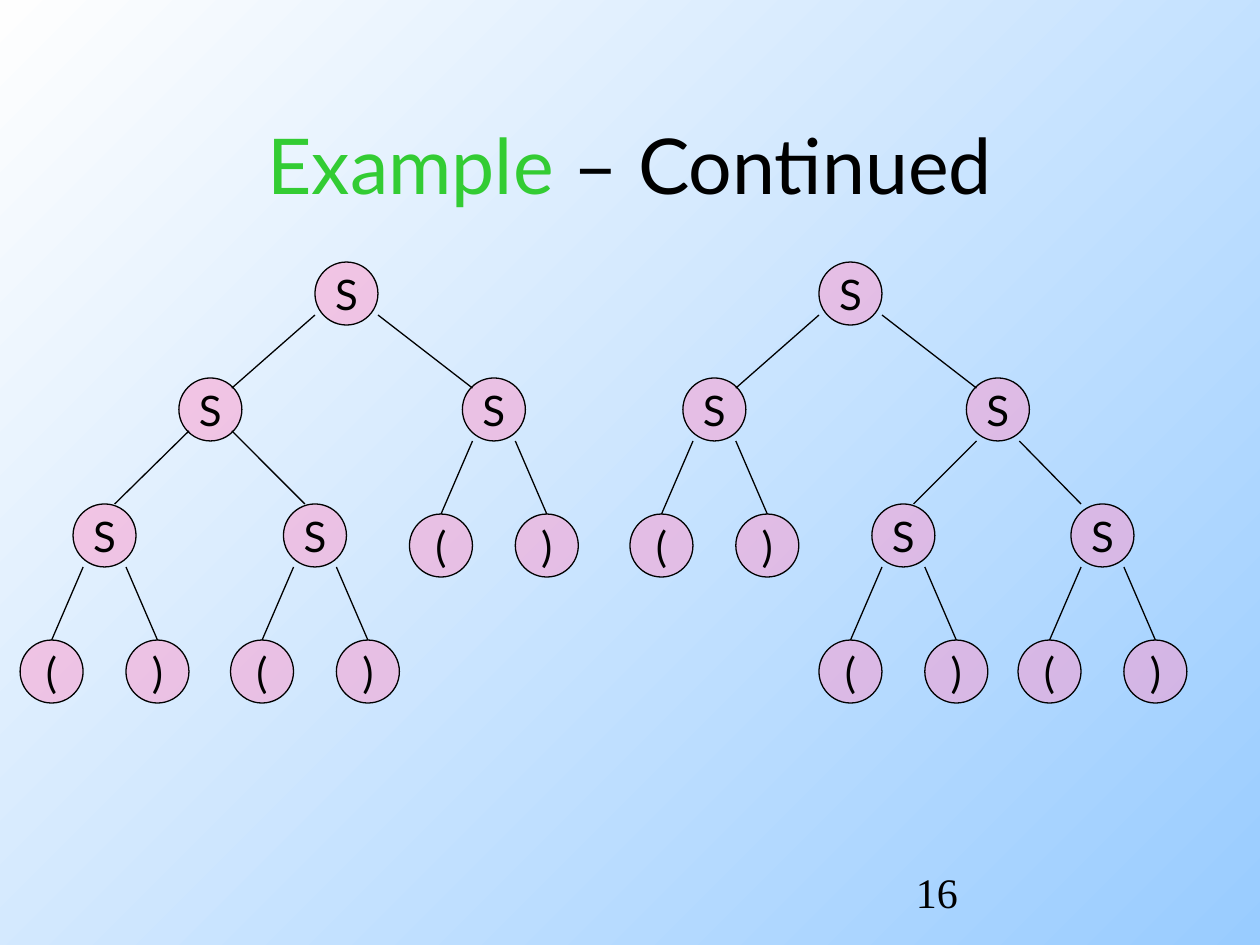
from pptx import Presentation
from pptx.dml.color import RGBColor
from pptx.enum.shapes import MSO_CONNECTOR, MSO_SHAPE
from pptx.enum.text import MSO_ANCHOR, PP_ALIGN
from pptx.oxml.ns import qn
from pptx.util import Inches, Pt
from lxml.etree import SubElement

COLORS = {"sky": "99CCFF", "white": "FEFEFE", "green": "33CC33",
          "black": "000000", "pink": "FF99CC"}
TITLE = [("Example", "green"), (" – Continued", "black")]
PAGE = "16"
NODE = 0.5
TREES = [
    {"root": (2.75, 2.08), "children": [(1.67, 3), (3.92, 3)],
     "split": (1.67, 3), "start_dy": 0.42,
     "grandchildren": [(0.83, 4), (2.5, 4)], "line_ends": [0.91, 2.42],
     "bracketed": [(0.83, 4), (2.5, 4), (3.92, 3)]},
    {"root": (6.75, 2.08), "children": [(5.67, 3), (7.92, 3)],
     "split": (7.92, 3), "start_dy": 0.5,
     "grandchildren": [(7.17, 4), (8.75, 4)], "line_ends": [7.25, 8.58],
     "bracketed": [(5.67, 3), (7.17, 4), (8.75, 4)]},
]


def color(name):
    return RGBColor.from_string(COLORS[name])


def add_run(p, text, size, name="black", font="Lato"):
    r = p.add_run()
    r.text = text
    r.font.size = Pt(size)
    r.font.name = font
    r.font.color.rgb = color(name)


def add_text(s, x, y, w, h):
    tf = s.shapes.add_textbox(Inches(x), Inches(y), Inches(w), Inches(h)).text_frame
    tf.word_wrap = True
    return tf


def add_node(s, x, y, text):
    sp = s.shapes.add_shape(MSO_SHAPE.OVAL, Inches(x - NODE / 2), Inches(y),
                            Inches(NODE), Inches(NODE))
    sp.shadow.inherit = False
    sp.fill.solid()
    sp.fill.fore_color.rgb = color("pink")
    clr = sp.fill._xPr.find(qn("a:solidFill"))[0]
    SubElement(clr, qn("a:alpha"), val="50000")
    sp.line.color.rgb = color("black")
    sp.line.width = Pt(0.75)
    tf = sp.text_frame
    tf.word_wrap = False
    tf.vertical_anchor = MSO_ANCHOR.MIDDLE
    p = tf.paragraphs[0]
    p.alignment = PP_ALIGN.CENTER
    add_run(p, text, 24)
    return sp


def add_line(s, x1, y1, x2, y2):
    line = s.shapes.add_connector(MSO_CONNECTOR.STRAIGHT, Inches(x1), Inches(y1),
                                  Inches(x2), Inches(y2))
    line.line.color.rgb = color("black")
    line.line.width = Pt(0.75)
    SubElement(line._element.spPr, qn("a:effectLst"))
    return line


def add_brackets(s, x, y):
    for side, text in ((-1, "("), (1, ")")):
        leaf_x, leaf_y = x + side * 0.42, y + 1.08
        leaf = add_node(s, leaf_x, leaf_y, text)
        line = add_line(s, x + side * 0.17, y + NODE, leaf_x, leaf_y)
        line.end_connect(leaf, 0)


def add_tree(s, tree):
    x, y = tree["root"]
    for node in [tree["root"], *tree["children"], *tree["grandchildren"]]:
        add_node(s, *node, "S")
    for side, (cx, cy) in zip((-1, 1), tree["children"]):
        add_line(s, x + side * 0.25, y + 0.42, cx - side * 0.17, cy + 0.08)
    x, y = tree["split"]
    for side, end_x, (_, cy) in zip((-1, 1), tree["line_ends"], tree["grandchildren"]):
        add_line(s, x + side * 0.17, y + tree["start_dy"], end_x, cy)
    for node in tree["bracketed"]:
        add_brackets(s, *node)


def main():
    prs = Presentation()
    prs.slide_width, prs.slide_height = Inches(10), Inches(7.5)
    s = prs.slides.add_slide(prs.slide_layouts[6])
    fill = s.background.fill
    fill.gradient()
    fill.gradient_angle = 135
    for stop, name, position in zip(fill.gradient_stops, ("sky", "white"), (0, 1)):
        stop.color.rgb = color(name)
        stop.position = position

    tf = add_text(s, 0.75, 0.67, 8.5, 1.25)
    tf.vertical_anchor = MSO_ANCHOR.MIDDLE
    p = tf.paragraphs[0]
    p.alignment = PP_ALIGN.CENTER
    for text, name in TITLE:
        add_run(p, text, 44, name)
    for tree in TREES:
        add_tree(s, tree)
    tf = add_text(s, 7.17, 6.83, 2.08, 0.5)
    add_run(tf.paragraphs[0], PAGE, 24, font="Times New Roman")
    prs.save("out.pptx")


if __name__ == "__main__":
    main()
